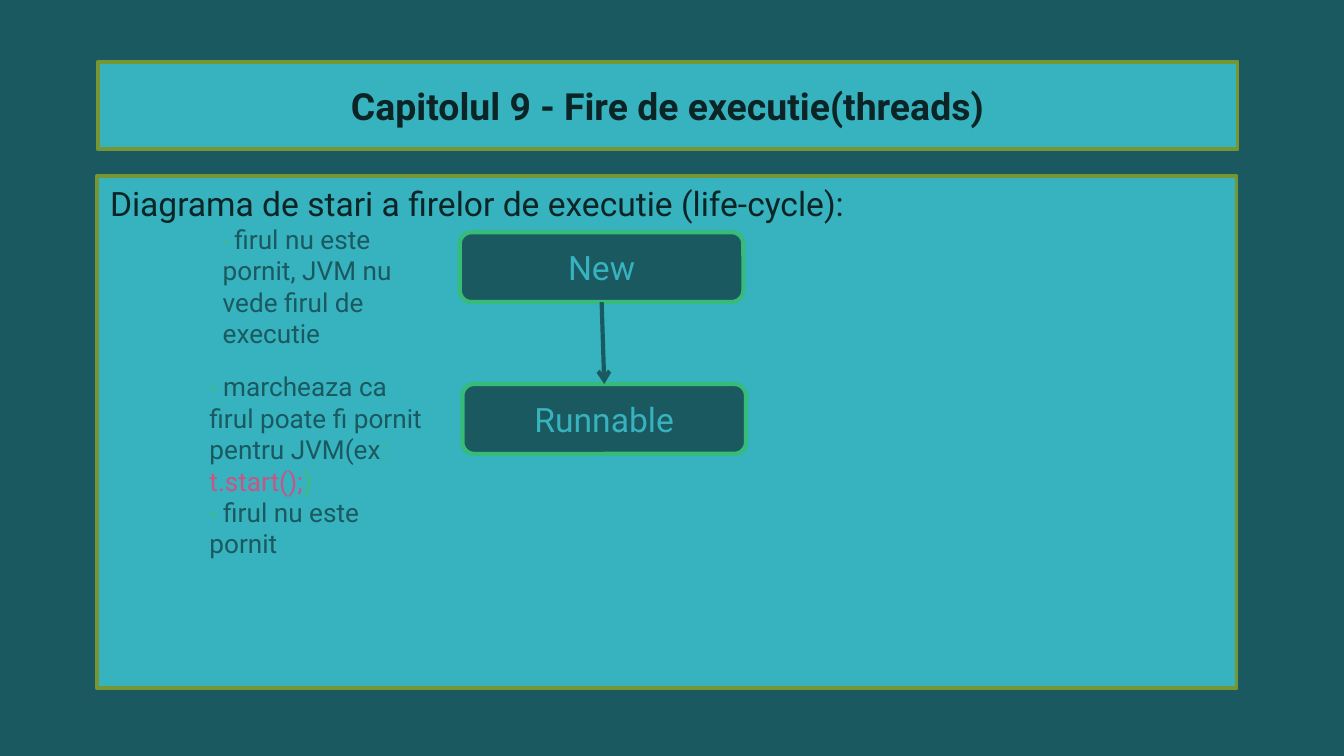
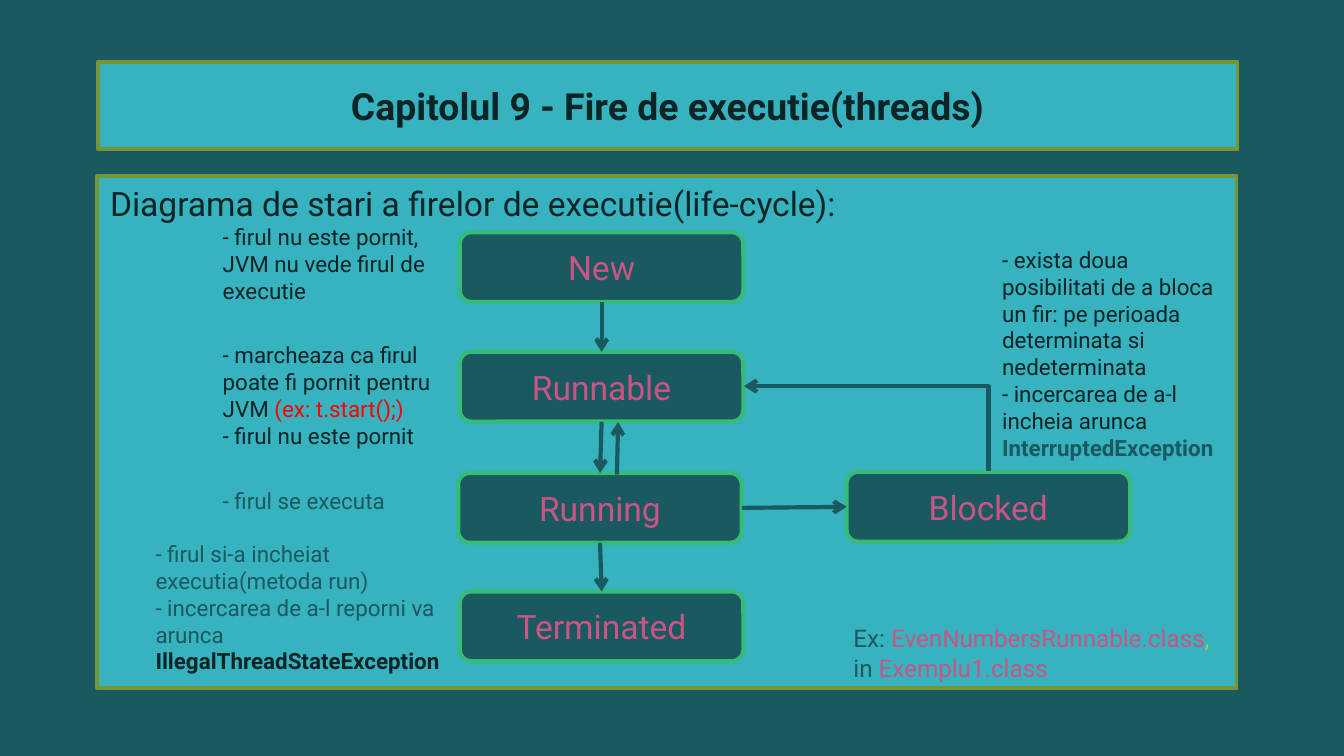
import pptx
import pptx.util
import pptx.dml.color
import pptx.enum.shapes
import pptx.enum.text
import pptx.oxml
import pptx.oxml.ns
from lxml import etree

Cm, Pt = pptx.util.Cm, pptx.util.Pt
qn = pptx.oxml.ns.qn
SHAPE = pptx.enum.shapes.MSO_SHAPE
LINK = pptx.enum.shapes.MSO_CONNECTOR
ALIGN = pptx.enum.text.PP_ALIGN
ANCHOR = pptx.enum.text.MSO_ANCHOR
FIT = pptx.enum.text.MSO_AUTO_SIZE

HEX = {"dark": "1B5960", "panel": "37B2BF", "olive": "769634", "ink": "0B2426",
       "edge": "36BB78", "green": "40BD7E", "pink": "C95584", "red": "FF0000", "lime": "92D050"}
RGB = {k: pptx.dml.color.RGBColor.from_string(v) for k, v in HEX.items()}
TOP, LEFT, BOTTOM, RIGHT = range(4)
BOX_W, BOX_H = 5.36, 1.32


def write(shape, paras, size, align=ALIGN.LEFT, anchor=ANCHOR.TOP, fit=FIT.NONE):
    tf = shape.text_frame
    frame = {"word_wrap": True, "auto_size": fit, "vertical_anchor": anchor,
             "margin_left": Cm(0.25), "margin_right": Cm(0.25),
             "margin_top": Cm(0.13), "margin_bottom": Cm(0.13)}
    for name, value in frame.items():
        setattr(tf, name, value)
    for i, runs in enumerate(paras):
        p = tf.add_paragraph() if i else tf.paragraphs[0]
        p.alignment = align
        for text, color, *extra in runs:
            r = p.add_run()
            r.text = text
            font = {"name": "Roboto", "size": Pt(size), "bold": False}
            for name, value in {**font, **(extra[0] if extra else {})}.items():
                setattr(r.font, name, value)
            r.font.color.rgb = RGB[color]


def paint(shape, line, width, fill=None):
    shape.line.color.rgb = RGB[line]
    shape.line.width = Pt(width)
    if fill:
        shape.fill.solid()
        shape.fill.fore_color.rgb = RGB[fill]
        shape.shadow.inherit = False
    else:
        ln = shape._element.spPr.find(qn("a:ln"))
        etree.SubElement(ln, qn("a:tailEnd"), type="arrow")
        etree.SubElement(shape._element.spPr, qn("a:effectLst"))


BOLD = {"bold": True}
SLIDES = [
    {
        "heading": "Diagrama de stari a firelor de executie (life-cycle):",
        "label": "panel",
        "states": {"New": (8.69, 4.39), "Runnable": (8.74, 7.26)},
        "links": [("New", BOTTOM, "Runnable", TOP)],
        "notes": [
            (3.96, 4.09, 4.67, 2.67, 14, [
                [("- ", "green", {"size": Pt(12)}),
                 ("firul nu este pornit, JVM nu vede firul de executie", "dark")]]),
            (3.71, 6.88, 4.67, 3.86, 14, [
                [("- ", "green"), ("marcheaza ca firul poate fi pornit pentru JVM(ex", "dark"),
                 (": ", "green"), ("t.start();", "pink"), (")", "green")],
                [("- ", "green"), ("firul nu este pornit", "dark")]]),
        ],
    },
    {
        "heading": "Diagrama de stari a firelor de executie(life-cycle):",
        "label": "pink",
        "states": {"New": (8.69, 4.39), "Runnable": (8.69, 6.65), "Running": (8.66, 8.94),
                   "Terminated": (8.69, 11.18), "Blocked": (16, 8.92)},
        "links": [("New", BOTTOM, "Runnable", TOP), ("Runnable", BOTTOM, "Running", TOP),
                  ("Running", BOTTOM, "Terminated", TOP), ("Running", RIGHT, "Blocked", LEFT)],
        "notes": [
            (3.96, 4.09, 4.67, 1.8, 12, [
                [("- firul nu este pornit, JVM nu vede firul de executie", "ink")]]),
            (3.96, 6.32, 4.67, 2.39, 12, [
                [("- marcheaza ca firul poate fi pornit pentru JVM ", "ink"),
                 ("(ex: t.start();)", "red")],
                [("- firul nu este pornit", "ink")]]),
            (3.96, 9.07, 4.67, 0.79, 12, [[("- firul se executa", "dark")]]),
            (2.69, 10.08, 7.01, 2.82, 12, [
                [("- firul si-a incheiat executia(metoda run)", "dark")],
                [("- incercarea de a-l reporni va arunca ", "dark"),
                 ("IllegalThreadStateException", "ink", BOLD)]]),
            (18.69, 4.52, 4.67, 4.37, 12, [
                [("- exista doua posibilitati de a bloca un fir: pe perioada determinata "
                  "si nedeterminata", "ink")],
                [("- incercarea de a-l incheia arunca ", "ink"),
                 ("InterruptedException", "dark", BOLD)]]),
            (15.88, 11.66, 7.92, 1.37, 13, [
                [("Ex: ", "dark"), ("EvenNumbersRunnable.class", "pink"), (",", "lime")],
                [("in ", "dark"), ("Exemplu1.class", "pink")]]),
        ],
    },
]

prs = pptx.Presentation()
prs.slide_width, prs.slide_height = Cm(25.4), Cm(14.29)
bg = prs.slide_master.background.fill
bg.solid()
bg.fore_color.rgb = RGB["dark"]

for data in SLIDES:
    s = prs.slides.add_slide(prs.slide_layouts[5])
    title = s.shapes.title
    place = {"left": Cm(1.85), "top": Cm(1.17), "width": Cm(21.54), "height": Cm(1.65)}
    for name, value in place.items():
        setattr(title, name, value)
    geom = etree.Element(qn("a:prstGeom"), prst="roundRect")
    etree.SubElement(geom, qn("a:avLst"))
    title._element.spPr.insert(1, geom)
    paint(title, "olive", 2, "panel")
    write(title, [[("Capitolul 9 - Fire de executie(threads)", "ink", BOLD)]], 20,
          ALIGN.CENTER, ANCHOR.MIDDLE)

    panel = s.shapes.add_shape(SHAPE.FOLDED_CORNER, Cm(1.83), Cm(3.33), Cm(21.54), Cm(9.68))
    guides = panel._element.spPr.find(qn("a:prstGeom")).find(qn("a:avLst"))
    etree.SubElement(guides, qn("a:gd"), name="adj", fmla="val 0")
    paint(panel, "olive", 2, "panel")
    write(panel, [[(data["heading"], "ink")]], 18)
    panel.text_frame.paragraphs[0].space_after = Pt(5.2)

    boxes = {}
    for state, (x, y) in data["states"].items():
        sp = s.shapes.add_shape(SHAPE.ROUNDED_RECTANGLE, Cm(x), Cm(y), Cm(BOX_W), Cm(BOX_H))
        paint(sp, "edge", 2.25, "dark")
        write(sp, [[(state, data["label"])]], 18, ALIGN.CENTER, ANCHOR.MIDDLE)
        boxes[state] = sp

    for start, out, end, into in data["links"]:
        link = s.shapes.add_connector(LINK.STRAIGHT, 0, 0, 0, 0)
        link.begin_connect(boxes[start], out)
        link.end_connect(boxes[end], into)
        paint(link, "dark", 2.25)

    for x, y, w, h, size, paras in data["notes"]:
        note = s.shapes.add_textbox(Cm(x), Cm(y), Cm(w), Cm(h))
        write(note, paras, size, fit=FIT.SHAPE_TO_FIT_TEXT)

    if "Blocked" in boxes:
        back = s.shapes.add_connector(LINK.STRAIGHT, Cm(11.66), Cm(8.97), Cm(11.68), Cm(7.98))
        paint(back, "dark", 2.25)
        resume = s.shapes.add_connector(LINK.ELBOW, Cm(15.57), Cm(10.41), Cm(17.17), Cm(5.79))
        spPr = resume._element.spPr
        spPr.find(qn("a:xfrm")).set("rot", str(270 * 60000))
        spPr.find(qn("a:prstGeom")).set("prst", "bentConnector2")
        paint(resume, "dark", 2.25)

prs.save("out.pptx")
